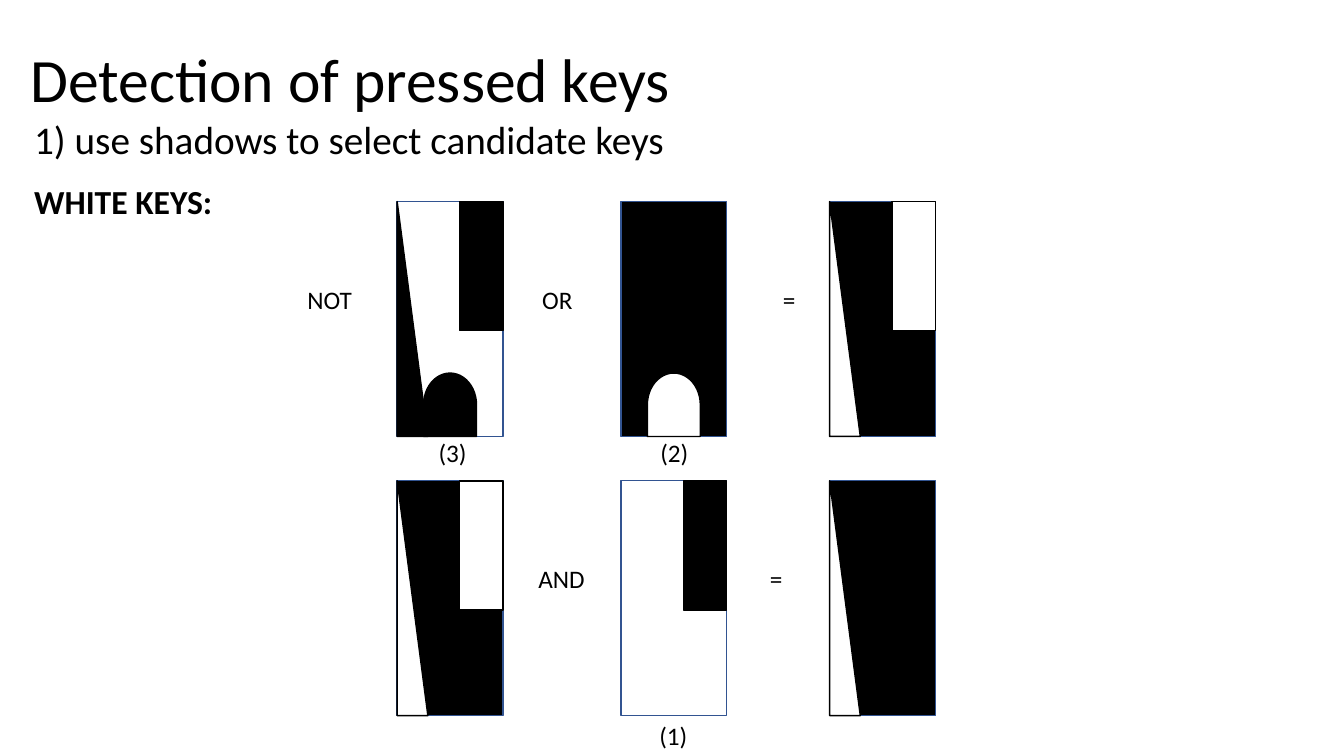
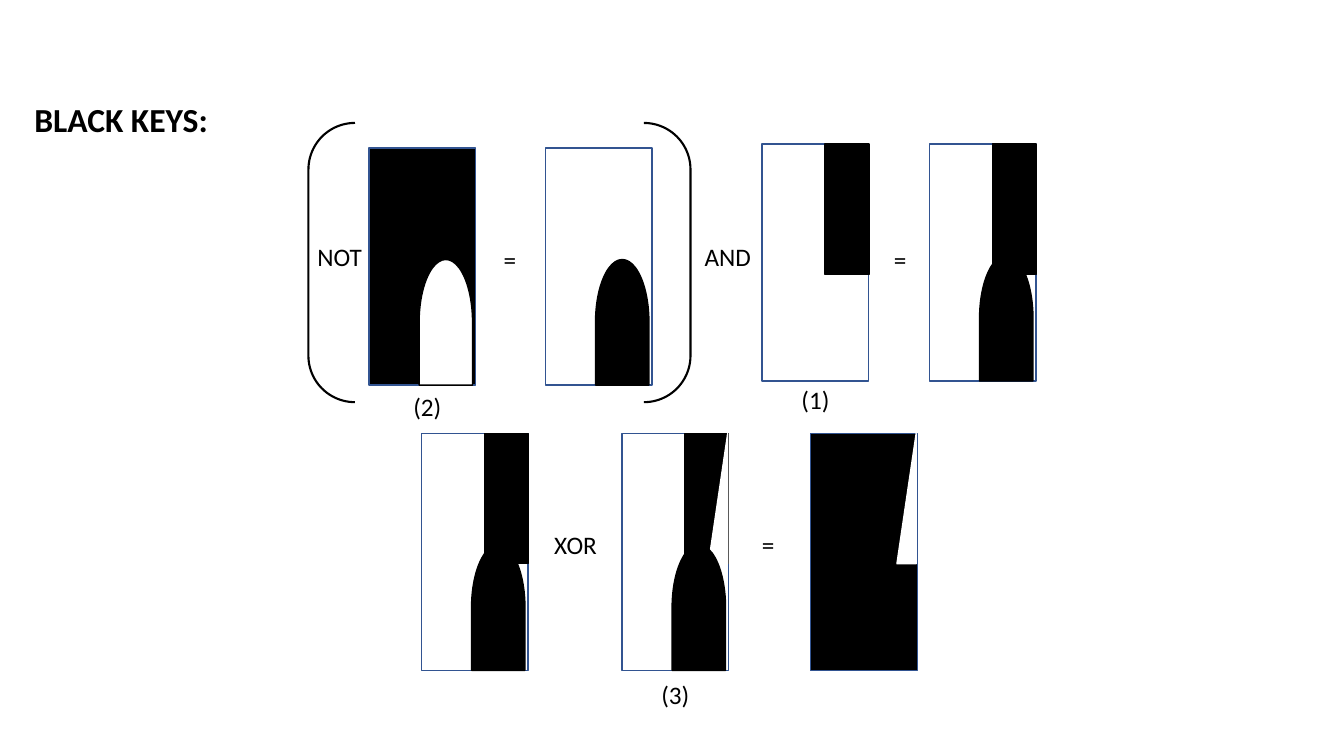
from dataclasses import dataclass
from typing import Optional

from pptx import Presentation, util as u
from pptx.dml.color import RGBColor
from pptx.enum import shapes, text

# Grid: every length on a slide is counted in cells of a tenth of an inch
CELL = u.Inches(0.1)
COLUMNS, ROWS = 133.33, 75

BLACK = RGBColor(0x00, 0x00, 0x00)
WHITE = RGBColor(0xFF, 0xFF, 0xFF)
KEY_EDGE = RGBColor(0x32, 0x54, 0x91)

# Text formats
FONT = "Calibri"
TITLE = {"name": FONT, "size": u.Pt(44), "bold": False}
SUBTITLE = {"name": FONT, "size": u.Pt(28), "bold": False}
HEADING = {"name": FONT, "size": u.Pt(24), "bold": True}
LABEL = {"name": FONT, "size": u.Pt(18), "bold": False}

LABEL_WIDTH, LABEL_HEIGHT = 7, 4
MSO = shapes.MSO_SHAPE


@dataclass(frozen=True)
class Frame:
    left: float
    top: float
    width: float
    height: float

    def lengths(self) -> list[int]:
        return [round(n * CELL) for n in (self.left, self.top, self.width, self.height)]


@dataclass(frozen=True)
class Region:
    """Region of a key, in shares of the key's width and height."""
    kind: MSO
    left: float
    top: float
    width: float
    height: float
    fill: Optional[RGBColor] = None  # None: the opposite of the key's colour
    edge: RGBColor = BLACK
    upright: bool = False
    mirrored: bool = False


@dataclass(frozen=True)
class Key:
    column: float
    row: float
    fill: RGBColor
    regions: tuple[Region, ...] = ()


@dataclass(frozen=True)
class Label:
    words: str
    centre: float
    row: float


# Regions that appear on the keys
BLACK_KEY = Region(MSO.RECTANGLE, 0.59, 0, 0.41, 0.55)
SIDE_SHADOW = Region(MSO.RIGHT_TRIANGLE, 0, 0, 0.29, 1)
SHORT_FINGER = Region(MSO.FLOWCHART_DELAY, 0.25, 0.73, 0.5, 0.27, upright=True)
LONG_FINGER = Region(MSO.FLOWCHART_DELAY, 0.47, 0.47, 0.5, 0.53, upright=True)
EDGE_SHADOW = Region(MSO.RIGHT_TRIANGLE, 0.81, 0, 0.18, 0.55,
                     fill=WHITE, edge=WHITE, mirrored=True)

# White keys: three columns, two rows
LEFT, MIDDLE, RIGHT = 39.4, 61.6, 82.3
UPPER, LOWER = 20, 47.7
WHITE_SIZE = (10.5, 23.3)
WHITE_KEYS = [
    Key(LEFT, UPPER, WHITE, (BLACK_KEY, SHORT_FINGER, SIDE_SHADOW)),
    Key(MIDDLE, UPPER, BLACK, (SHORT_FINGER,)),
    Key(RIGHT, UPPER, BLACK, (BLACK_KEY, SIDE_SHADOW)),
    Key(LEFT, LOWER, BLACK, (BLACK_KEY, SIDE_SHADOW)),
    Key(MIDDLE, LOWER, WHITE, (BLACK_KEY,)),
    Key(RIGHT, LOWER, BLACK, (SIDE_SHADOW,)),
]
WHITE_LABELS = [
    Label("NOT", 32.7, 27.7), Label("OR", 55.3, 27.7), Label("=", 78.3, 27.7),
    Label("(3)", 44.9, 42.9), Label("(2)", 66.9, 42.9),
    Label("AND", 55.7, 55.4), Label("=", 77, 55.4), Label("(1)", 66.8, 71),
]

# Black keys: four above, three below
BLACK_SIZE = (10.6, 23.5)
BLACK_KEYS = [
    Key(36.6, 14.7, BLACK, (LONG_FINGER,)),
    Key(54.1, 14.7, WHITE, (LONG_FINGER,)),
    Key(75.6, 14.3, WHITE, (BLACK_KEY,)),
    Key(92.2, 14.3, WHITE, (BLACK_KEY, LONG_FINGER)),
    Key(41.8, 43, WHITE, (BLACK_KEY, LONG_FINGER)),
    Key(61.7, 43, WHITE, (BLACK_KEY, EDGE_SHADOW, LONG_FINGER)),
    Key(80.4, 43, BLACK, (EDGE_SHADOW,)),
]
BLACK_LABELS = [
    Label("NOT", 33.7, 23.4), Label("=", 50.6, 23.7), Label("AND", 72.2, 23.4),
    Label("=", 89.3, 23.7), Label("(2)", 42.4, 38.3), Label("(1)", 80.9, 37.6),
    Label("XOR", 57.1, 52), Label("=", 76.2, 52), Label("(3)", 67, 66.9),
]
BRACKETS = Frame(30.6, 12.2, 37.9, 27.7)


# Text
def write(box, words: str, style: dict, align=text.PP_ALIGN.LEFT,
          anchor=text.MSO_ANCHOR.TOP, wrap: bool = True, spacing: float = 1) -> None:
    frame = box.text_frame
    frame.text = words
    para = frame.paragraphs[0]
    frame_format = {"word_wrap": wrap, "vertical_anchor": anchor,
                    "auto_size": text.MSO_AUTO_SIZE.NONE}
    for name, value in frame_format.items():
        setattr(frame, name, value)
    for name, value in {"alignment": align, "line_spacing": spacing}.items():
        setattr(para, name, value)
    span = para.runs[0]
    for name, value in style.items():
        setattr(span.font, name, value)
    span.font.color.rgb = BLACK


def add_text(page, frame: Frame, words: str, style: dict, **layout) -> None:
    write(page.shapes.add_textbox(*frame.lengths()), words, style, **layout)


def set_title(page, frame: Frame, words: str, style: dict, **layout) -> None:
    title = page.shapes.title
    for name, value in zip(("left", "top", "width", "height"), frame.lengths()):
        setattr(title, name, value)
    write(title, words, style, spacing=0.9, **layout)


# Keys
def add_outline(page, kind, frame: Frame, fill: Optional[RGBColor],
                edge: RGBColor, weight: float = 1):
    shape = page.shapes.add_shape(kind, *frame.lengths())
    shape.shadow.inherit = False
    if fill is None:
        shape.fill.background()
    else:
        shape.fill.solid()
        shape.fill.fore_color.rgb = fill
    shape.line.color.rgb = edge
    shape.line.width = u.Pt(weight)
    return shape


def add_region(page, key: Key, region: Region, size: tuple[float, float]) -> None:
    width, height = region.width * size[0], region.height * size[1]
    left, top = key.column + region.left * size[0], key.row + region.top * size[1]
    if region.upright:  # a quarter turn swaps the sides around the centre
        left, top = left + (width - height) / 2, top + (height - width) / 2
        width, height = height, width
    opposite = WHITE if key.fill == BLACK else BLACK
    shape = add_outline(page, region.kind, Frame(left, top, width, height),
                        region.fill or opposite, region.edge)
    if region.upright:
        shape.rotation = 270
    if region.mirrored:
        shape._element.spPr.xfrm.set("flipH", "1")


def add_diagram(page, keys: list[Key], size: tuple[float, float],
                labels: list[Label]) -> None:
    for key in keys:
        add_outline(page, MSO.RECTANGLE, Frame(key.column, key.row, *size),
                    key.fill, KEY_EDGE)
        for region in key.regions:
            add_region(page, key, region, size)
    for label in labels:
        frame = Frame(label.centre - LABEL_WIDTH / 2, label.row,
                      LABEL_WIDTH, LABEL_HEIGHT)
        add_text(page, frame, label.words, LABEL,
                 align=text.PP_ALIGN.CENTER, wrap=False)


# Slides
def add_page(deck):
    return deck.slides.add_slide(deck.slide_layouts.get_by_name("Title Only"))


def build_white_keys(deck) -> None:
    page = add_page(deck)
    set_title(page, Frame(2, 0.9, 115, 14.5), "Detection of pressed keys", TITLE,
              anchor=text.MSO_ANCHOR.MIDDLE)
    add_text(page, Frame(2.4, 11.5, 69.5, 6.2),
             "1) use shadows to select candidate keys", SUBTITLE, spacing=0.9)
    add_text(page, Frame(2.4, 17.5, 35.5, 5), "WHITE KEYS:", HEADING)
    add_diagram(page, WHITE_KEYS, WHITE_SIZE, WHITE_LABELS)


def build_black_keys(deck) -> None:
    page = add_page(deck)
    set_title(page, Frame(2.4, 9.8, 34.3, 6.3), "BLACK KEYS:", HEADING)
    add_diagram(page, BLACK_KEYS, BLACK_SIZE, BLACK_LABELS)
    add_outline(page, MSO.DOUBLE_BRACKET, BRACKETS, None, BLACK, 1.5)


def main() -> None:
    deck = Presentation()
    deck.slide_width, deck.slide_height = round(COLUMNS * CELL), ROWS * CELL
    build_white_keys(deck)
    build_black_keys(deck)
    deck.save("out.pptx")


if __name__ == "__main__":
    main()
